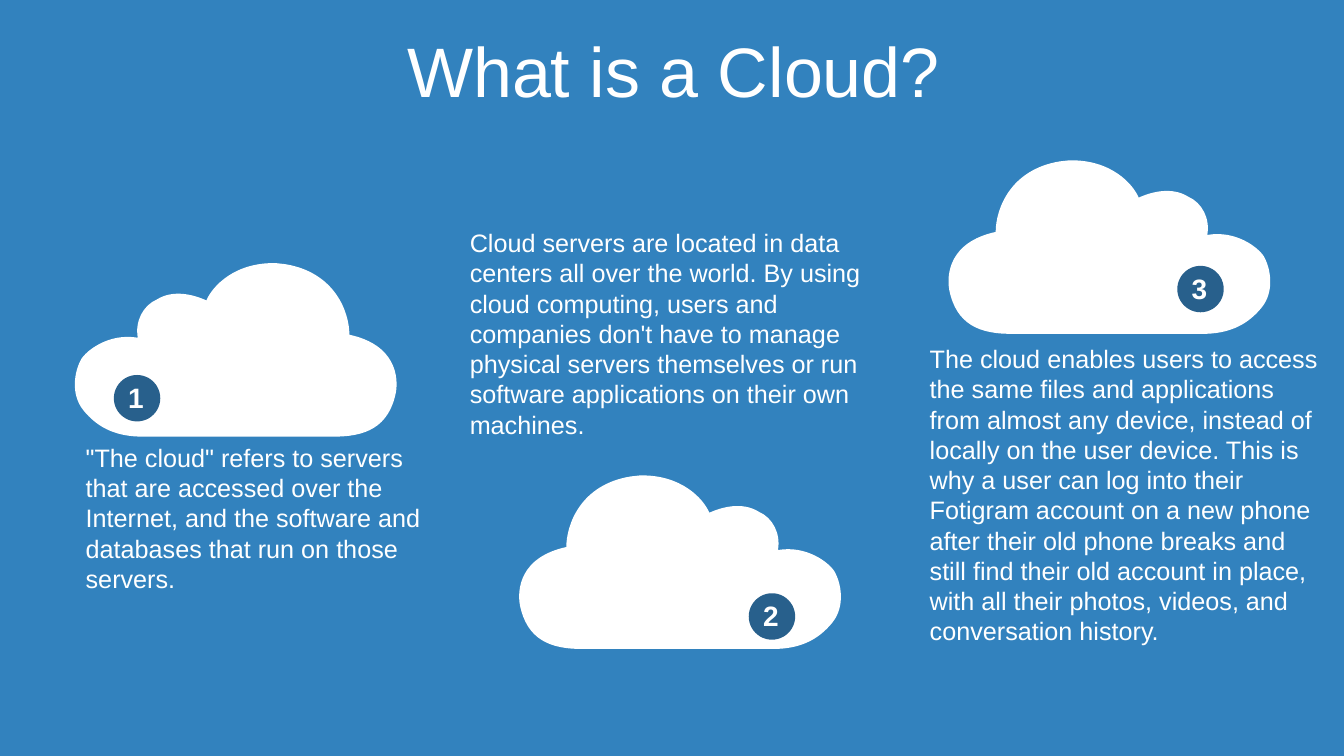
from lxml import etree
from pptx import Presentation
from pptx.dml.color import RGBColor
from pptx.enum.shapes import MSO_SHAPE
from pptx.enum.text import MSO_ANCHOR, MSO_AUTO_SIZE, PP_ALIGN
from pptx.oxml.ns import qn
from pptx.util import Cm, Pt

OVAL, RECT = MSO_SHAPE.OVAL, MSO_SHAPE.RECTANGLE
TOP, MIDDLE = MSO_ANCHOR.TOP, MSO_ANCHOR.MIDDLE
LEFT, CENTER = PP_ALIGN.LEFT, PP_ALIGN.CENTER
GROW = MSO_AUTO_SIZE.SHAPE_TO_FIT_TEXT

BLUE, NAVY, WHITE = "3282BE", "28608C", "FFFFFF"
CLOUD_W, CLOUD_H = 8.1, 4.37
BADGE = 1.17

# Cloud outline on a grid of 319 by 172: start, then Bezier curves or lines
GRID_W, GRID_H = 319, 172
START = (120, 0)
EDGES = [
    [(161, -1), (183, 23), (189, 37)],
    [(202, 31), (222, 26), (238, 36)],
    [(252, 42), (260, 58), (257, 74)],
    [(286, 69), (308, 87), (313, 95)],
    [(320, 107), (324, 130), (311, 146)],
    [(298, 162), (281, 171), (257, 172)],
    [(66, 172)],
    [(30, 173), (8, 162), (1, 129)],
    [(-2, 113), (1, 81), (47, 71)],
    [(47, 49), (61, 9), (111, 1)],
    [(114, 1), (117, 0), (120, 0)],
]

# Number, cloud corner, mirrored, badge offset in the cloud, text box, framed, text
ITEMS = [
    ("1", (1.9, 6.63), True, (0.97, 2.82), (1.91, 11.02, 9.53, 4.11), True,
     "\"The cloud\" refers to servers that are accessed over the Internet, "
     "and the software and databases that run on those servers."),
    ("2", (13.08, 11.98), False, (5.79, 2.97), (11.59, 5.61, 10.44, 5.64), False,
     "Cloud servers are located in data centers all over the world. By using "
     "cloud computing, users and companies don't have to manage physical "
     "servers themselves or run software applications on their own machines."),
    ("3", (23.9, 4.04), False, (5.77, 2.66), (23.18, 8.53, 10.44, 7.95), False,
     "The cloud enables users to access the same files and applications from "
     "almost any device, instead of locally on the user device. This is why a "
     "user can log into their Fotigram account on a new phone after their old "
     "phone breaks and still find their old account in place, with all their "
     "photos, videos, and conversation history."),
]


def color(code):
    return RGBColor.from_string(code)


def paint(shape, code):
    shape.shadow.inherit = False
    shape.fill.solid()
    shape.fill.fore_color.rgb = color(code)
    shape.line.fill.background()


def write(shape, text, size, align=LEFT, anchor=TOP, bold=False):
    """Fill the shape with one white paragraph and return it."""
    frame = shape.text_frame
    frame.word_wrap = True
    frame.vertical_anchor = anchor
    para = frame.paragraphs[0]
    para.text = text
    para.alignment = align
    font = para.font
    font.name, font.size, font.bold = "Arial", Pt(size), bold
    font.color.rgb = color(WHITE)
    return para


def bend(shape):
    """Turn each run of three segments into the Bezier curve it stands for."""
    lines = iter(list(shape.element.iter(qn("a:lnTo"))))
    for edge in EDGES:
        group = [next(lines) for point in edge]
        if len(group) == 3:
            curve = etree.Element(qn("a:cubicBezTo"))
            group[0].addprevious(curve)
            for line in group:
                curve.append(line[0])
                line.getparent().remove(line)


def add_cloud(slide, left, top, mirror):
    def place(point):
        x = GRID_W - point[0] if mirror else point[0]
        return (Cm(left + x * CLOUD_W / GRID_W),
                Cm(top + point[1] * CLOUD_H / GRID_H))

    pen = slide.shapes.build_freeform(*place(START))
    pen.add_line_segments([place(p) for edge in EDGES for p in edge], close=True)
    cloud = pen.convert_to_shape()
    bend(cloud)
    paint(cloud, WHITE)


def add_badge(slide, left, top, number):
    disc = slide.shapes.add_shape(OVAL, Cm(left), Cm(top), Cm(BADGE), Cm(BADGE))
    paint(disc, NAVY)
    frame = disc.text_frame
    frame.margin_left = frame.margin_top = 0
    frame.margin_right = frame.margin_bottom = Cm(0.05)
    write(disc, number, 20, CENTER, MIDDLE, True)


def add_note(slide, box, framed, text):
    place = tuple(map(Cm, box))
    if framed:
        note = slide.shapes.add_shape(RECT, *place)
        note.shadow.inherit = False
        note.fill.background()
        note.line.color.rgb = color(BLUE)
        note.line.width = Pt(0.75)
    else:
        note = slide.shapes.add_textbox(*place)
    write(note, text, 18)
    note.text_frame.auto_size = GROW


def add_title(slide, box, text):
    title = slide.shapes.add_textbox(*map(Cm, box))
    para = write(title, text, 50, CENTER, MIDDLE)
    para.line_spacing = 0.8
    para.space_before = Pt(10)


def main():
    deck = Presentation()
    deck.slide_width, deck.slide_height = Cm(33.87), Cm(19.05)
    slide = deck.slides.add_slide(deck.slide_layouts[6])
    back = slide.background.fill
    back.solid()
    back.fore_color.rgb = color(BLUE)
    add_title(slide, (0.9, 0.94, 32.16, 2.01), "What is a Cloud?")
    for number, (left, top), mirror, (dx, dy), box, framed, text in ITEMS:
        add_cloud(slide, left, top, mirror)
        add_badge(slide, left + dx, top + dy, number)
        add_note(slide, box, framed, text)
    deck.save("out.pptx")


if __name__ == "__main__":
    main()
